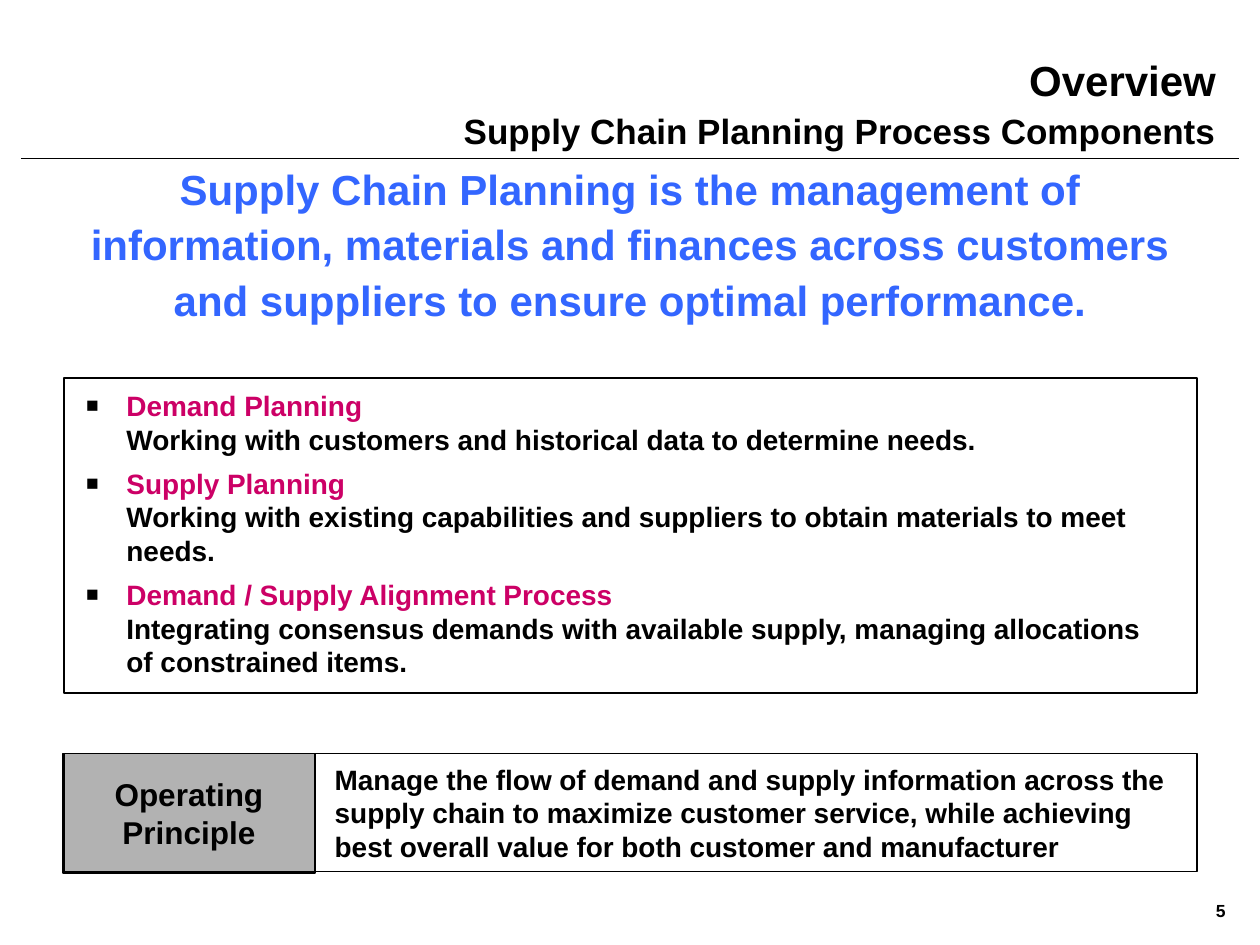
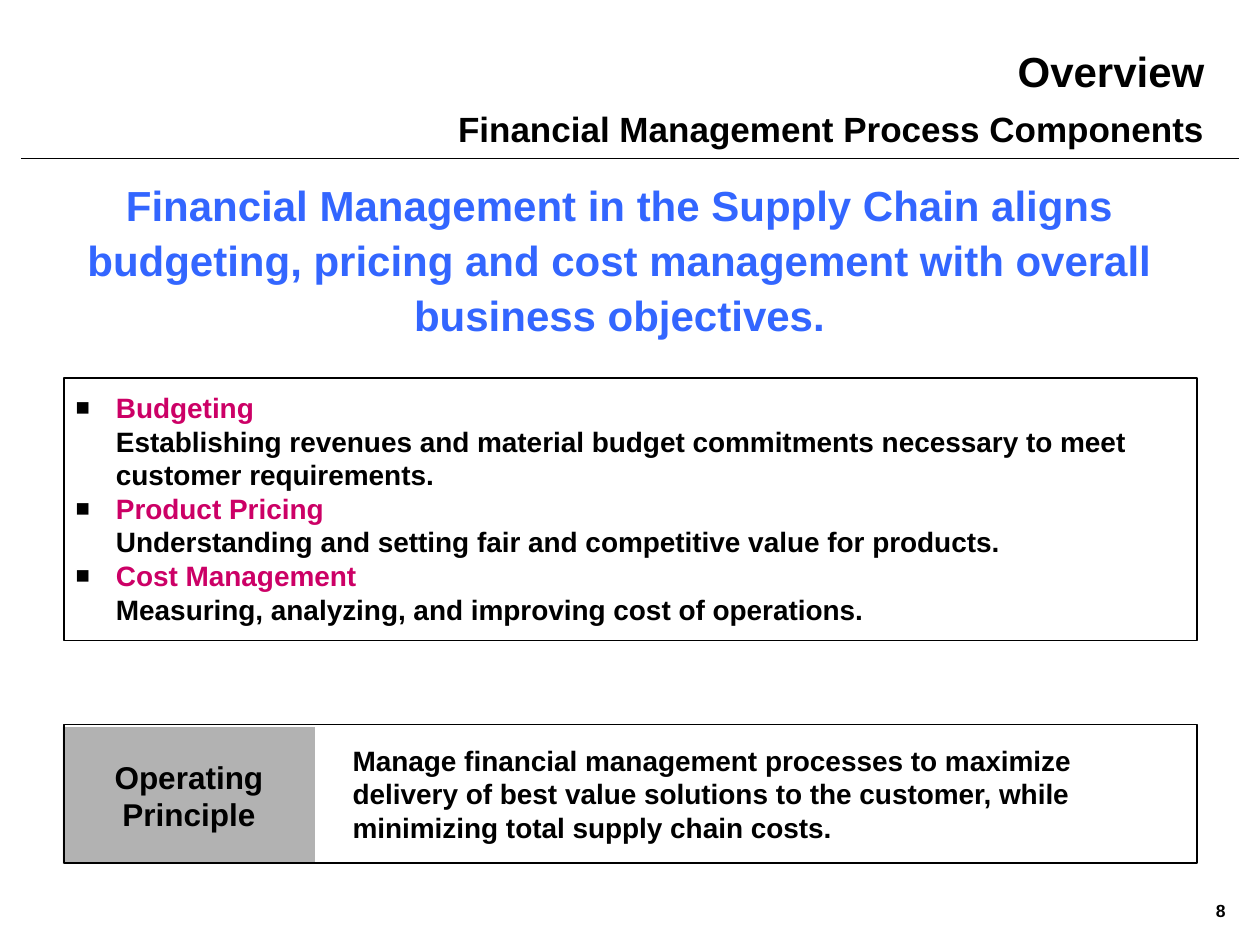
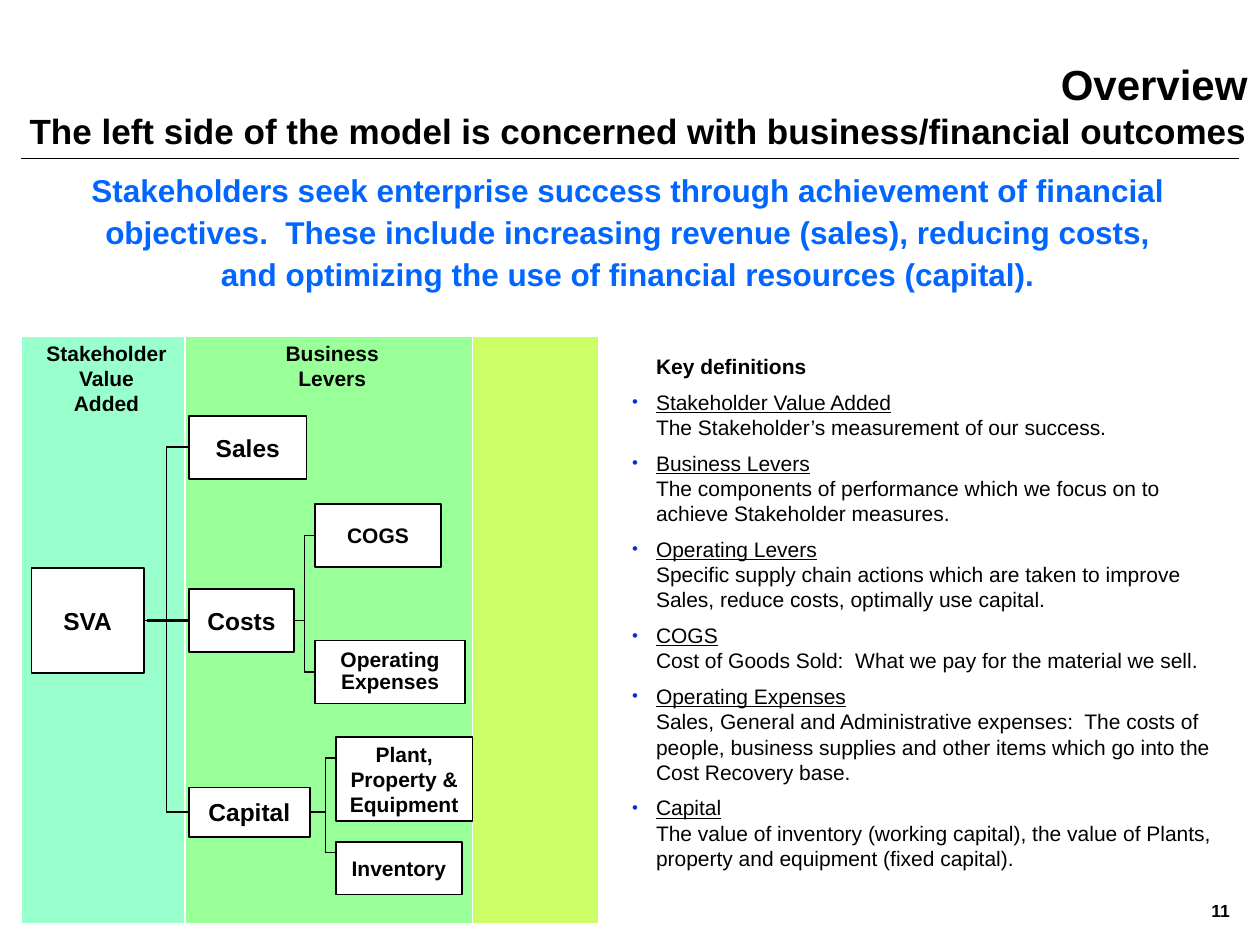
"""Build three overview slides on supply chain planning, finance and value."""
from dataclasses import dataclass
from typing import NamedTuple, Optional, Union

from lxml.etree import SubElement
from pptx import Presentation
from pptx.dml.color import RGBColor
from pptx.enum.shapes import MSO_CONNECTOR as Wire, MSO_SHAPE as Form
from pptx.enum.text import MSO_ANCHOR as Anchor, MSO_AUTO_SIZE as Fit, PP_ALIGN as Align
from pptx.oxml.ns import qn
from pptx.util import Inches, Pt

WIDE, HIGH = Inches(10), Inches(7.5)
COLS, ROWS = 120, 90


@dataclass(frozen=True)
class Theme:
    font: str = "Arial"
    ink: str = "000000"
    paper: str = "FFFFFF"
    lead: str = "3366FF"
    goal: str = "0066FF"
    term: str = "CC0066"
    dot: str = "0033CC"
    tag: str = "B2B2B2"
    mint: str = "99FFCC"
    green: str = "99FF99"
    lime: str = "CCFF66"
    head: int = 24
    sub: int = 20
    mid: int = 18
    body: int = 16
    node: int = 14
    small: int = 12
    page: int = 10
    thin: float = 1
    thick: float = 2.25
    loose: float = 1.1
    tight: float = 0.85


THEME = Theme()


class Box(NamedTuple):
    x: float
    y: float
    w: float
    h: float


class Run(NamedTuple):
    text: str
    size: Optional[int] = None
    color: Optional[str] = None
    bold: Optional[bool] = None
    under: bool = False


class Mark(NamedTuple):
    char: str
    color: str
    size: int
    hang: float


class Item(NamedTuple):
    term: str
    note: str


class Node(NamedTuple):
    name: str
    box: Box
    size: int = THEME.small
    space: float = 1


class Topic(NamedTuple):
    page: int
    head: str
    head_box: Box
    head_gap: float
    lead: str
    lead_box: Box
    items: list[Item]
    list_box: Box
    list_gap: float
    dot_size: int
    list_frame: Box
    tag_box: Box
    tag_edge: Optional[str]
    rule: str
    rule_box: Box
    rule_frame: Box


def col(n: float) -> int:
    return round(WIDE * n / COLS)


def row(n: float) -> int:
    return round(HIGH * n / ROWS)


def span(box: Box) -> tuple[int, int, int, int]:
    return col(box.x), row(box.y), col(box.w), row(box.h)


def tint(code: str) -> RGBColor:
    return RGBColor.from_string(code)


def set_mark(para, mark: Optional[Mark], hang: float) -> None:
    props = para._p.get_or_add_pPr()
    props.set("marL", str(Inches(hang)))
    props.set("indent", str(-Inches(hang) if mark else 0))
    if mark is None:
        SubElement(props, qn("a:buNone"))
        return
    color = SubElement(props, qn("a:buClr"))
    SubElement(color, qn("a:srgbClr"), val=mark.color)
    SubElement(props, qn("a:buSzPct"), val=str(mark.size * 1000))
    SubElement(props, qn("a:buFont"), typeface=THEME.font)
    SubElement(props, qn("a:buChar"), char=mark.char)


def write(shape, paras: list, *, size: int, color: str = THEME.ink, bold: bool = True,
          align=Align.LEFT, anchor=Anchor.TOP, space: float = 1, gap: float = 0,
          mark: Optional[Mark] = None, plain: int = 0, wrap: bool = True) -> None:
    """Fill a shape with paragraphs; the first `plain` ones carry no mark."""
    frame = shape.text_frame
    frame.auto_size, frame.word_wrap = Fit.NONE, wrap
    frame.vertical_anchor = anchor
    for index, runs in enumerate(paras):
        para = frame.add_paragraph() if index else frame.paragraphs[0]
        set_mark(para, mark if index >= plain else None, mark.hang if mark else 0)
        para.alignment, para.line_spacing = align, space
        para.space_before = Pt(gap if index else 0)
        para.space_after = Pt(0)
        for part in [Run(runs)] if isinstance(runs, str) else runs:
            for count, line in enumerate(part.text.split("\v")):
                if count:
                    para.add_line_break()
                if not line:
                    continue
                run = para.add_run()
                run.text = line
                font = run.font
                font.name, font.size = THEME.font, Pt(part.size or size)
                font.bold = bold if part.bold is None else part.bold
                font.underline = part.under
                font.color.rgb = tint(part.color or color)


def place(shape, box: Box):
    shape.left, shape.top, shape.width, shape.height = span(box)
    return shape


def note(slide, box: Box, paras: list, **form) -> None:
    write(slide.shapes.add_textbox(*span(box)), paras, **form)


def block(slide, box: Box, fill: Optional[str] = None, edge: Optional[str] = THEME.ink):
    shape = slide.shapes.add_shape(Form.RECTANGLE, *span(box))
    shape.shadow.inherit = False
    if fill:
        shape.fill.solid()
        shape.fill.fore_color.rgb = tint(fill)
    else:
        shape.fill.background()
    if edge:
        shape.line.color.rgb = tint(edge)
        shape.line.width = Pt(THEME.thin)
    else:
        shape.line.fill.background()
    return shape


def link(slide, start: Union[tuple, object], end: Union[tuple, object],
         kind=Wire.STRAIGHT, width: float = THEME.thin) -> None:
    """Draw a line between points or from a shape's right side to one's left."""
    a, b = (p if isinstance(p, tuple) else (0, 0) for p in (start, end))
    line = slide.shapes.add_connector(kind, col(a[0]), row(a[1]), col(b[0]), row(b[1]))
    if not isinstance(start, tuple):
        line.begin_connect(start, 3)
    if not isinstance(end, tuple):
        line.end_connect(end, 1)
    line.line.color.rgb = tint(THEME.ink)
    line.line.width = Pt(width)
    SubElement(line._element.spPr, qn("a:effectLst"))


def start_slide(deck, page: int):
    slide = deck.slides.add_slide(deck.slide_layouts[1])
    link(slide, (2, 15.1), (118, 15.1))
    note(slide, Box(113, 84.1, 6.5, 5.3), [str(page)], size=THEME.page,
         align=Align.CENTER, anchor=Anchor.MIDDLE)
    return slide


def heading(text: str) -> list:
    return ["Overview", [Run(text, THEME.sub)]]


def draw_topic(deck, topic: Topic) -> None:
    slide = start_slide(deck, topic.page)
    write(place(slide.shapes.title, topic.head_box), heading(topic.head), size=THEME.head,
          align=Align.RIGHT, anchor=Anchor.BOTTOM, space=THEME.loose, gap=topic.head_gap)
    note(slide, topic.lead_box, [topic.lead], size=THEME.head, color=THEME.lead,
         align=Align.CENTER, anchor=Anchor.MIDDLE, space=THEME.loose)
    paras = [[Run(i.term + "\v", color=THEME.term), Run(i.note)] for i in topic.items]
    write(place(slide.placeholders[1], topic.list_box), paras, size=THEME.body,
          gap=topic.list_gap, mark=Mark("■", THEME.ink, topic.dot_size, 0.32))
    block(slide, topic.list_frame)
    tag = block(slide, topic.tag_box, THEME.tag, topic.tag_edge)
    write(tag, ["Operating", "Principle"], size=THEME.mid,
          align=Align.CENTER, anchor=Anchor.MIDDLE)
    note(slide, topic.rule_box, [topic.rule], size=THEME.body)
    block(slide, topic.rule_frame)


TOPICS = [
    Topic(
        5, "Supply Chain Planning Process Components", Box(10.8, 7.2, 106.2, 7.8), 0,
        "Supply Chain Planning is the management of information, materials and finances "
        "across customers and suppliers to ensure optimal performance.",
        Box(5, 18, 110, 10),
        [Item("Demand Planning",
              "Working with customers and historical data to determine needs."),
         Item("Supply Planning",
              "Working with existing capabilities and suppliers to obtain materials "
              "to meet needs."),
         Item("Demand / Supply Alignment Process",
              "Integrating consensus demands with available supply, managing "
              "allocations of constrained items.")],
        Box(7, 36.4, 105, 28.8), 6, 75, Box(6.1, 36, 107.9, 30),
        Box(6, 71.75, 24, 11.4), THEME.ink,
        "Manage the flow of demand and supply information across the supply chain to "
        "maximize customer service, while achieving best overall value for both "
        "customer and manufacturer",
        Box(30.7, 72, 82.3, 10.8), Box(6.1, 71.75, 107.9, 11.25)),
    Topic(
        8, "Financial Management Process Components", Box(25, 0, 90.9, 14.8), 4,
        "Financial Management in the Supply Chain aligns budgeting, pricing and cost "
        "management with overall business objectives.",
        Box(4, 17, 110, 15),
        [Item("Budgeting",
              "Establishing revenues and material budget commitments necessary to meet "
              "customer requirements."),
         Item("Product Pricing",
              "Understanding and setting fair and competitive value for products."),
         Item("Cost Management",
              "Measuring, analyzing, and improving cost of operations.")],
        Box(6, 36.6, 108, 23.6), 0, 85, Box(6.1, 36, 107.9, 25),
        Box(6, 69.25, 24, 13), None,
        "Manage financial management processes to maximize delivery of best value "
        "solutions to the customer, while minimizing total supply chain costs.",
        Box(32.4, 70.2, 73.1, 10.8), Box(6.1, 69, 107.9, 13.2)),
]

TERMS = [
    Item("Stakeholder Value Added", "The Stakeholder’s measurement of our success."),
    Item("Business Levers",
         "The components of performance which we focus on to achieve Stakeholder measures."),
    Item("Operating Levers",
         "Specific supply chain actions which are taken to improve Sales, reduce costs, "
         "optimally use capital."),
    Item("COGS", "Cost of Goods Sold:  What we pay for the material we sell."),
    Item("Operating Expenses",
         "Sales, General and Administrative expenses:  The costs of people, business "
         "supplies and other items which go into the Cost Recovery base."),
    Item("Capital",
         "The value of inventory (working capital), the value of Plants, property and "
         "equipment (fixed capital)."),
]

BANDS = [(45, 12, THEME.lime), (17.3, 27.7, THEME.green), (2, 15.6, THEME.mint)]

NODES = [
    Node("SVA", Box(3, 54.1, 10.7, 10), THEME.node),
    Node("Sales", Box(18, 39.6, 11.2, 6), THEME.node),
    Node("Costs", Box(18, 56.1, 10, 6), THEME.node),
    Node("Capital", Box(18, 75, 11.5, 4.7), THEME.node),
    Node("COGS", Box(30, 48, 12, 6)),
    Node("Operating Expenses", Box(30, 61, 14.3, 6), space=THEME.tight),
    Node("Plant, Property & Equipment", Box(32, 70.2, 13, 8)),
    Node("Inventory", Box(32, 80.2, 12, 5)),
]

BENDS = [("SVA", "Sales"), ("SVA", "Capital"),
         ("Costs", "COGS"), ("Costs", "Operating Expenses")]


def draw_tree(slide) -> None:
    for left, width, fill in BANDS:
        block(slide, Box(left, 32, width, 56), fill, THEME.paper)
    label = dict(size=THEME.small, align=Align.CENTER, wrap=False)
    note(slide, Box(3.2, 31.8, 13.9, 8.4), ["Stakeholder", "Value", "Added"], **label)
    note(slide, Box(26, 31.8, 11.3, 6), ["Business\vLevers"], **label)
    nodes = {}
    for node in NODES:
        shape = nodes[node.name] = block(slide, node.box, THEME.paper)
        write(shape, [node.name], size=node.size, space=node.space,
              align=Align.CENTER, anchor=Anchor.MIDDLE)
    for start, end in BENDS:
        link(slide, nodes[start], nodes[end], Wire.ELBOW)
    link(slide, (14, 59.1), nodes["Costs"], width=THEME.thick)
    stem, top, base = 31, 72.2, 81.2
    link(slide, nodes["Capital"], (stem, 77.35))
    link(slide, (stem, top), (stem, base))
    for level in (top, base):
        link(slide, (stem, level), (32, level))


def draw_model(deck) -> None:
    slide = start_slide(deck, 11)
    note(slide, Box(0, 6, 120, 8),
         heading("The left side of the model is concerned with business/financial outcomes"),
         size=THEME.head, align=Align.RIGHT, anchor=Anchor.MIDDLE)
    write(place(slide.shapes.title, Box(3.6, 24.25, 112.4, 4.2)),
          ["Stakeholders seek enterprise success through achievement of financial "
           "objectives.  These include increasing revenue (sales), reducing costs,\v"
           "and optimizing the use of financial resources (capital)."],
          size=THEME.mid, color=THEME.goal, align=Align.CENTER, anchor=Anchor.BOTTOM,
          space=THEME.loose)
    paras = [[Run("Key definitions", bold=True)]]
    paras += [[Run(i.term + "\v", under=True), Run(i.note)] for i in TERMS]
    write(place(slide.placeholders[1], Box(59, 33.1, 60, 50.4)), paras, size=THEME.small,
          bold=False, gap=6, mark=Mark("•", THEME.dot, 80, 0.19), plain=1)
    draw_tree(slide)


def main() -> None:
    deck = Presentation()
    deck.slide_width, deck.slide_height = WIDE, HIGH
    for topic in TOPICS:
        draw_topic(deck, topic)
    draw_model(deck)
    deck.save("out.pptx")


if __name__ == "__main__":
    main()
